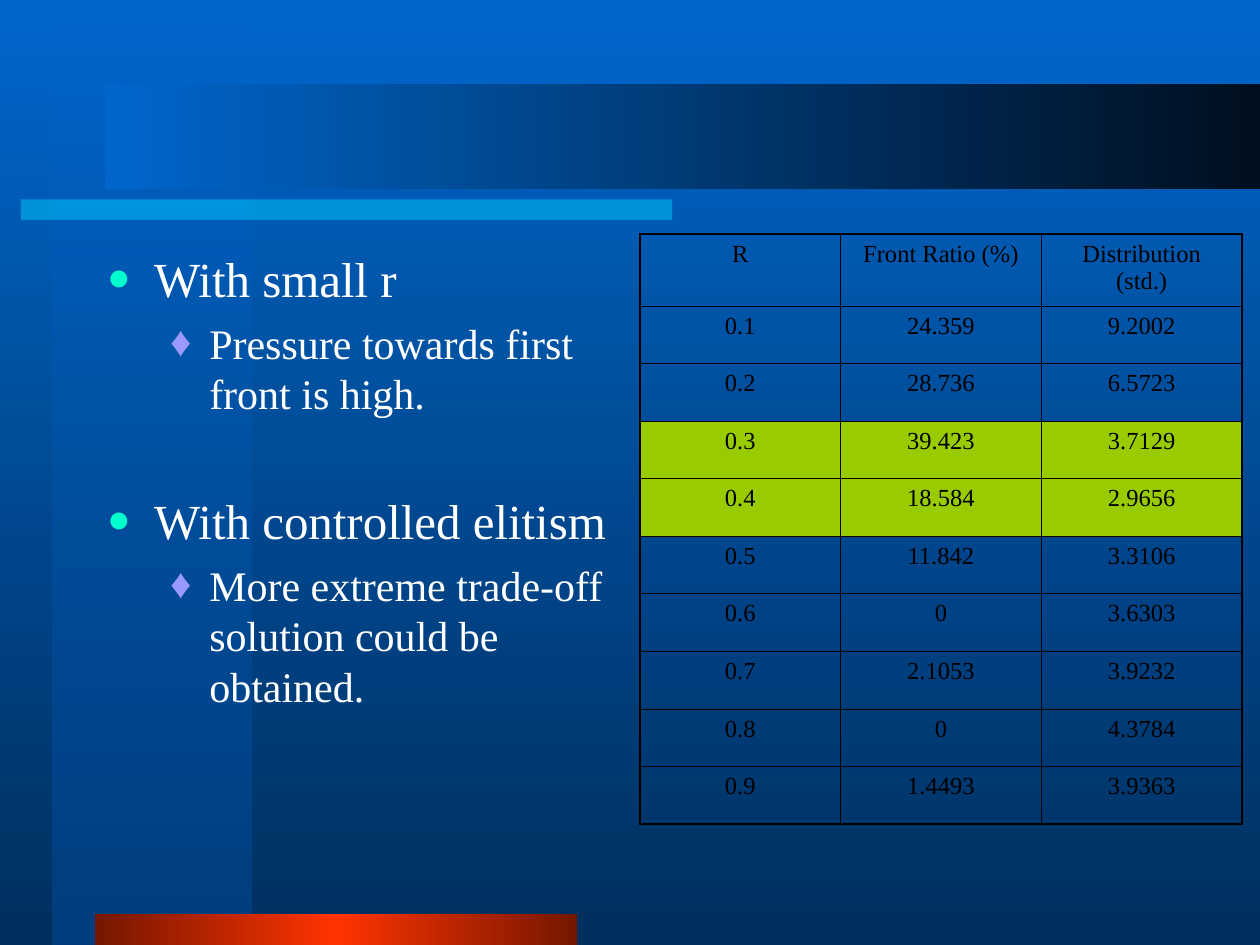
from lxml import etree
from pptx import Presentation
from pptx.dml.color import RGBColor
from pptx.enum.shapes import MSO_SHAPE
from pptx.enum.text import PP_ALIGN
from pptx.oxml.ns import qn
from pptx.util import Cm, Pt

RECT = MSO_SHAPE.RECTANGLE
CENTER = PP_ALIGN.CENTER

BLUE = RGBColor(0x00, 0x66, 0xCC)
NAVY = RGBColor(0x00, 0x2F, 0x5E)
DEEP_BLUE = RGBColor(0x00, 0x3E, 0x7D)
NIGHT = RGBColor(0x00, 0x0F, 0x1F)
CYAN = RGBColor(0x00, 0xCC, 0xFF)
MAROON = RGBColor(0x75, 0x17, 0x00)
RED = RGBColor(0xFF, 0x33, 0x00)
MINT = RGBColor(0x00, 0xFF, 0xCC)
LILAC = RGBColor(0x99, 0x99, 0xFF)
LIME = RGBColor(0x99, 0xCC, 0x00)
WHITE = RGBColor(0xFF, 0xFF, 0xFF)
BLACK = RGBColor(0x00, 0x00, 0x00)

# level: (size, space before, left margin, hanging indent, bullet, colour, bullet %)
LEVELS = [
    (28, 7, 0.95, 0.95, "●", MINT, 80),
    (24, 6, 2.06, 0.79, "♦", LILAC, 100),
]
SECTION_GAP = 41  # points above a section that follows another

POINTS = [
    (0, "With small r"),
    (1, "Pressure towards first front is high."),
    (0, "With controlled elitism"),
    (1, "More extreme trade-off solution could be obtained."),
]

RATIOS = [
    ("R", "Front Ratio (%)", "Distribution (std.)"),
    ("0.1", "24.359", "9.2002"),
    ("0.2", "28.736", "6.5723"),
    ("0.3", "39.423", "3.7129"),
    ("0.4", "18.584", "2.9656"),
    ("0.5", "11.842", "3.3106"),
    ("0.6", "0", "3.6303"),
    ("0.7", "2.1053", "3.9232"),
    ("0.8", "0", "4.3784"),
    ("0.9", "1.4493", "3.9363"),
]
BEST = ("0.3", "0.4")


def add_xml(parent, tag, **attrs):
    return etree.SubElement(parent, qn(tag), {k: str(v) for k, v in attrs.items()})


def add_color(parent, color, alpha=100):
    clr = add_xml(parent, "a:srgbClr", val=color)
    if alpha < 100:
        add_xml(clr, "a:alpha", val=alpha * 1000)


def set_gradient(fill, element, stops, angle):
    """Fill with (position, colour, alpha) stops, angle clockwise in degrees."""
    fill.gradient()
    fill.gradient_angle = -angle % 360
    gs_list = next(element.iter(qn("a:gsLst")))
    for gs in list(gs_list):
        gs_list.remove(gs)
    for pos, color, alpha in stops:
        add_color(add_xml(gs_list, "a:gs", pos=pos * 1000), color, alpha)


class Deck:
    font = "Times New Roman"

    def __init__(self, prs):
        self.s = prs.slides.add_slide(prs.slide_layouts[6])

    def background(self, stops, angle):
        set_gradient(self.s.background.fill, self.s.element, stops, angle)

    def bar(self, x, y, w, h):
        sp = self.s.shapes.add_shape(RECT, Cm(x), Cm(y), Cm(w), Cm(h))
        sp.shadow.inherit = False
        sp.line.fill.background()
        return sp

    def gradient_bar(self, x, y, w, h, stops, angle):
        sp = self.bar(x, y, w, h)
        set_gradient(sp.fill, sp.element, stops, angle)

    def solid_bar(self, x, y, w, h, color, alpha):
        sp = self.bar(x, y, w, h)
        sp.fill.solid()
        sp.fill.fore_color.rgb = color
        clr = next(sp.element.spPr.iter(qn("a:srgbClr")))
        add_xml(clr, "a:alpha", val=alpha * 1000)

    def style(self, p, size, color):
        p.font.name = self.font
        p.font.size = Pt(size)
        p.font.color.rgb = color

    def bullets(self, x, y, w, h, points):
        tf = self.s.shapes.add_textbox(Cm(x), Cm(y), Cm(w), Cm(h)).text_frame
        tf.word_wrap = True
        for i, (level, text) in enumerate(points):
            size, before, left, hang, char, color, pct = LEVELS[level]
            p = tf.paragraphs[0] if i == 0 else tf.add_paragraph()
            p.text = text
            p.level = level
            if i:
                p.space_before = Pt(before if level else SECTION_GAP)
            pPr = p._p.get_or_add_pPr()
            pPr.set("marL", str(Cm(left)))
            pPr.set("indent", str(-Cm(hang)))
            add_color(add_xml(pPr, "a:buClr"), color)
            add_xml(pPr, "a:buSzPct", val=pct * 1000)
            add_xml(pPr, "a:buFont", typeface=self.font)
            add_xml(pPr, "a:buChar", char=char)
            self.style(p, size, WHITE)

    def borders(self, cell, outer):
        """Draw the four sides, heavier on those named in outer."""
        tcPr = cell._tc.get_or_add_tcPr()
        for side in "LRTB":
            width = Pt(1.08 if side in outer else 0.45)
            ln = add_xml(tcPr, f"a:ln{side}", w=width)
            add_color(add_xml(ln, "a:solidFill"), BLACK)

    def table(self, x, y, w, heights, rows, marked):
        n_rows, n_cols = len(rows), len(rows[0])
        frame = self.s.shapes.add_table(
            n_rows, n_cols, Cm(x), Cm(y), Cm(w), Cm(sum(heights)))
        table = frame.table
        table.first_row = table.horz_banding = False
        for row, height in zip(table.rows, heights):
            row.height = Cm(height)
        for i, values in enumerate(rows):
            for j, text in enumerate(values):
                cell = table.cell(i, j)
                edges = {"L": j == 0, "R": j == n_cols - 1,
                         "T": i == 0, "B": i == n_rows - 1}
                self.borders(cell, [side for side in edges if edges[side]])
                if values[0] in marked:
                    cell.fill.solid()
                    cell.fill.fore_color.rgb = LIME
                else:
                    cell.fill.background()
                p = cell.text_frame.paragraphs[0]
                p.text = text
                p.alignment = CENTER
                self.style(p, 14, BLACK)


def main():
    prs = Presentation()
    prs.slide_width, prs.slide_height = Cm(25.4), Cm(19.05)
    deck = Deck(prs)
    deck.background([(0, BLUE, 100), (100, NAVY, 100)], 90)
    deck.gradient_bar(1.06, 0, 4.02, 19.05,
                      [(0, BLUE, 50), (100, DEEP_BLUE, 100)], 90)
    deck.solid_bar(0.42, 4.02, 13.13, 0.42, CYAN, 50)
    deck.gradient_bar(1.91, 18.42, 9.73, 0.63,
                      [(0, MAROON, 100), (50, RED, 100), (100, MAROON, 100)], 180)
    deck.gradient_bar(2.12, 1.69, 23.28, 2.12,
                      [(0, NIGHT, 100), (100, BLUE, 100)], 180)
    deck.bullets(1.91, 4.88, 11, 12.07, POINTS)
    deck.table(12.9, 4.72, 12.14, [1.45] + [1.16] * 9, RATIOS, BEST)
    prs.save("out.pptx")


if __name__ == "__main__":
    main()
